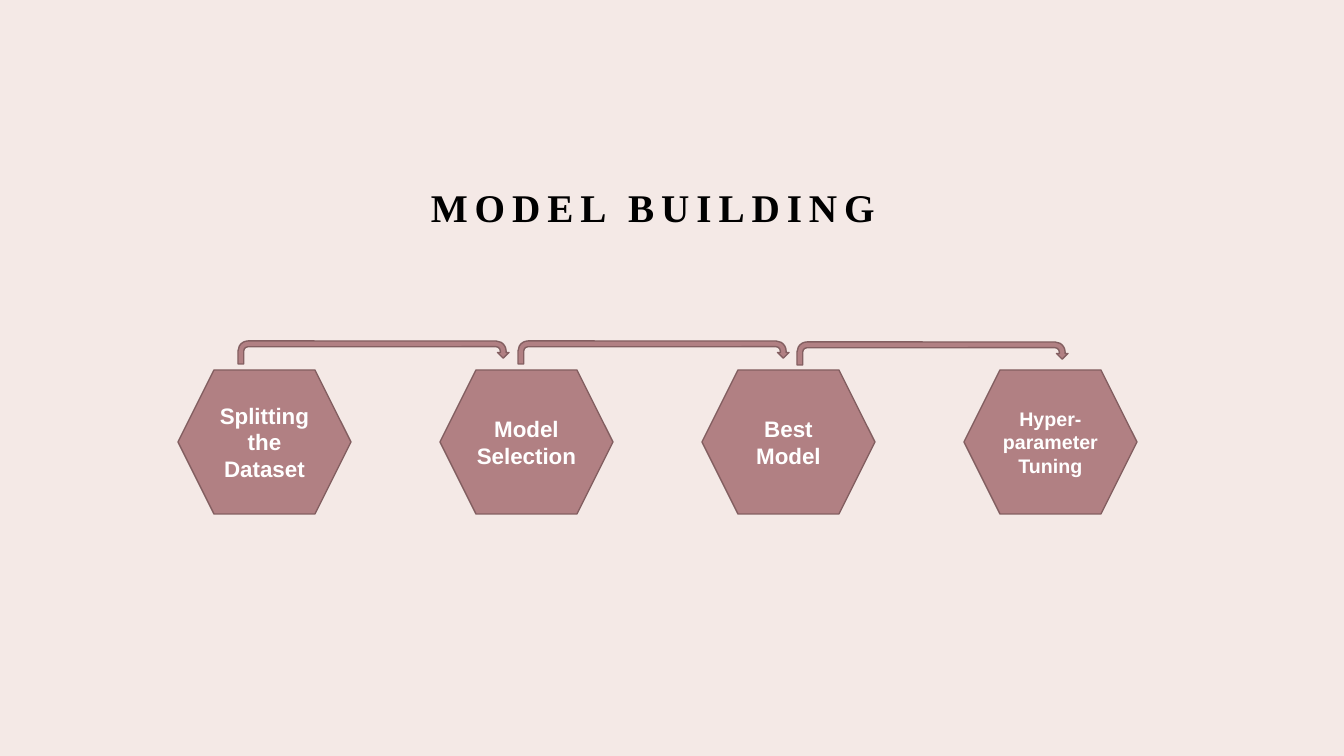
import pptx
import pptx.dml.color
import pptx.enum.shapes
import pptx.enum.text
import pptx.util

TITLE = "MODEL BUILDING"
STEPS = [
    ("Splitting the Dataset", 16),
    ("Model Selection", 16),
    ("Best Model", 16),
    ("Hyper-parameter Tuning", 14),
]
ARROW_CORNERS = [(238, 341), (518, 341), (797, 342)]

BACKGROUND = pptx.dml.color.RGBColor(0xF4, 0xE9, 0xE6)
ROSE = pptx.dml.color.RGBColor(0xB1, 0x80, 0x83)
DARK_ROSE = pptx.dml.color.RGBColor(0x83, 0x5F, 0x61)
BLACK = pptx.dml.color.RGBColor(0x00, 0x00, 0x00)
WHITE = pptx.dml.color.RGBColor(0xFF, 0xFF, 0xFF)

EMU_PER_PX = 914400 / 100.8
PAGE_SIZE = (1344, 756)
TITLE_BOX = (124, 130, 1058, 144)
HEXAGON_LEFT, HEXAGON_TOP, HEXAGON_PITCH = 178, 370, 262
HEXAGON_SIZE = (173, 144)
ARROW_SIZE = (271, 23)


def px(*lengths):
    return [pptx.util.Emu(round(length * EMU_PER_PX)) for length in lengths]


def write(box, text, color, **font):
    frame = box.text_frame
    frame.word_wrap = True
    frame.vertical_anchor = pptx.enum.text.MSO_ANCHOR.MIDDLE
    para = frame.paragraphs[0]
    para.alignment = pptx.enum.text.PP_ALIGN.CENTER
    span = para.add_run()
    span.text = text
    span.font.color.rgb = color
    for name, value in font.items():
        setattr(span.font, name, value)
    return para, span


def add_rose_shape(page, kind, corner, size):
    shape = page.shapes.add_shape(kind, *px(*corner, *size))
    shape.shadow.inherit = False
    shape.fill.solid()
    shape.fill.fore_color.rgb = ROSE
    shape.line.color.rgb = DARK_ROSE
    shape.line.width = pptx.util.Pt(1)
    return shape


def main():
    deck = pptx.Presentation()
    deck.slide_width, deck.slide_height = px(*PAGE_SIZE)
    page = deck.slides.add_slide(deck.slide_layouts[6])
    page.background.fill.solid()
    page.background.fill.fore_color.rgb = BACKGROUND

    title = page.shapes.add_textbox(*px(*TITLE_BOX))
    para, span = write(title, TITLE, BLACK, name="Times New Roman",
                       size=pptx.util.Pt(28), bold=True)
    para.line_spacing = 1.2
    span.font._element.set("spc", "500")

    kinds = pptx.enum.shapes.MSO_SHAPE
    for index, (step, points) in enumerate(STEPS):
        corner = (HEXAGON_LEFT + index * HEXAGON_PITCH, HEXAGON_TOP)
        hexagon = add_rose_shape(page, kinds.HEXAGON, corner, HEXAGON_SIZE)
        write(hexagon, step, WHITE, name="Arial",
              size=pptx.util.Pt(points), bold=True)

    for corner in ARROW_CORNERS:
        add_rose_shape(page, kinds.U_TURN_ARROW, corner, ARROW_SIZE)

    deck.save("out.pptx")


if __name__ == "__main__":
    main()
